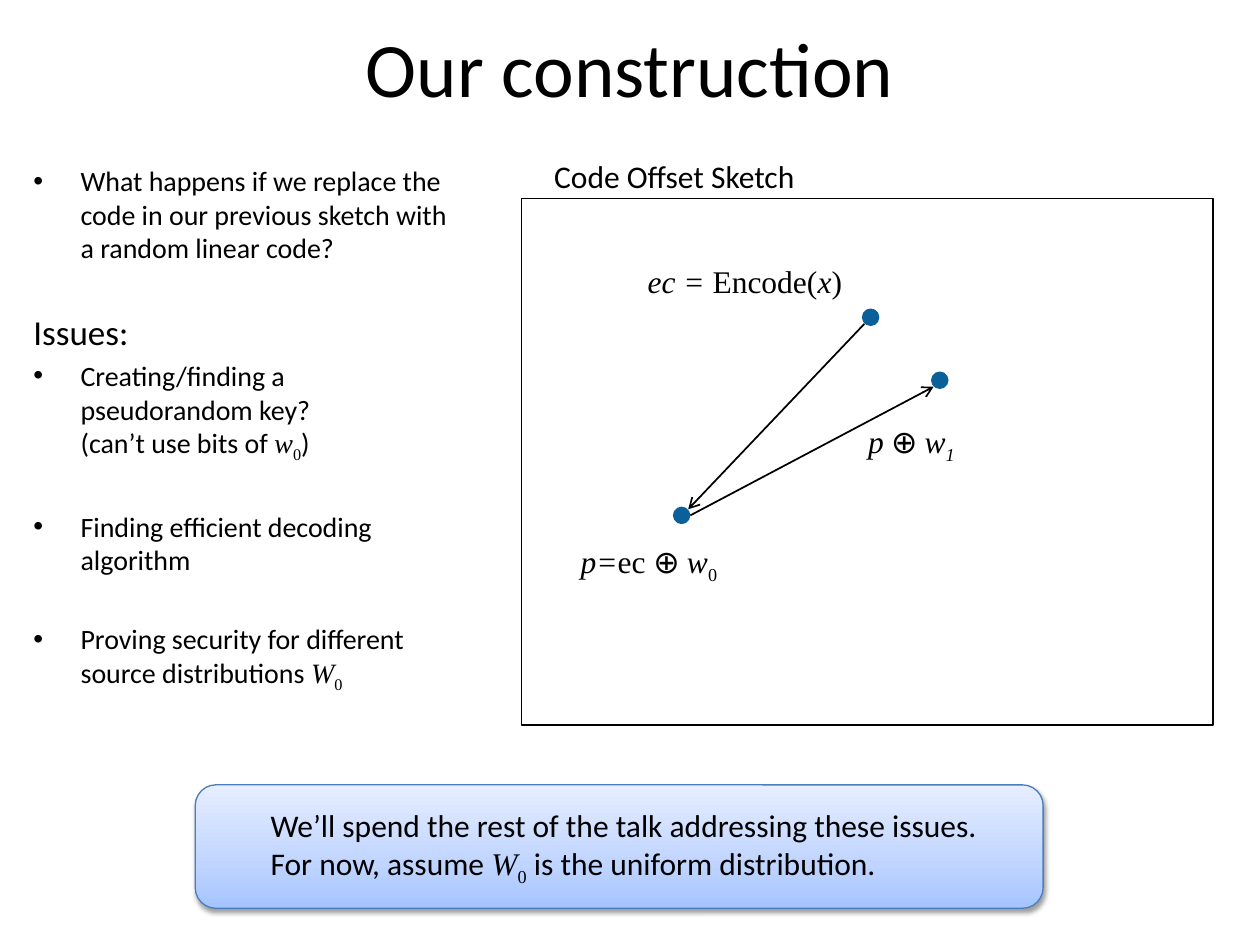
from copy import deepcopy

from lxml import etree
from pptx import Presentation
from pptx.dml import color
from pptx.enum import shapes, text
from pptx.oxml import ns
from pptx.util import Pt

SANS, SERIF = "Calibri", "Times New Roman"
BLACK, DOT_BLUE = "000000", "0B609A"
DOT_SIZE = 10


def rgb(value):
    """Turn a hex string into a colour."""
    return color.RGBColor.from_string(value)


def child(parent, tag, **attributes):
    """Append a DrawingML element and return it."""
    values = {key: str(value) for key, value in attributes.items()}
    return etree.SubElement(parent, ns.qn(f"a:{tag}"), values)


def math(words, **extra):
    """Describe an italic serif run."""
    return words, dict(font=SERIF, italic=True, **extra)


def roman(words, **extra):
    """Describe an upright serif run."""
    return words, dict(font=SERIF, **extra)


def write(paragraph, runs, size=18, align=None, before=0, bullet=False, indent=0):
    """Fill a paragraph with plain strings and (words, format) pairs."""
    properties = paragraph._p.get_or_add_pPr()
    if indent:
        properties.set("marL", str(Pt(indent)))
        properties.set("indent", str(Pt(-indent if bullet else 0)))
    if bullet:
        child(properties, "buFont", typeface="Arial")
        child(properties, "buChar", char="•")
    paragraph.space_before = Pt(before)
    paragraph.alignment = align
    paragraph.font.size = Pt(size)
    for item in runs:
        words, style = (item, {}) if isinstance(item, str) else item
        for number, line in enumerate(words.split("\n")):
            if number:
                paragraph.add_line_break()
            run = paragraph.add_run()
            run.text = line
            run.font.size = Pt(size)
            run.font.name = style.get("font", SANS)
            run.font.italic = style.get("italic", False)
            run.font.color.rgb = rgb(BLACK)
            if style.get("sub"):
                run.font._element.set("baseline", "-25000")


def add_text(slide, left, top, width, height, runs, wrap=True,
             anchor=text.MSO_ANCHOR.TOP, **style):
    """Add a text box with one paragraph and return its frame."""
    frame = slide.shapes.add_textbox(Pt(left), Pt(top), Pt(width), Pt(height)).text_frame
    frame.word_wrap = wrap
    frame.vertical_anchor = anchor
    write(frame.paragraphs[0], runs, **style)
    return frame


def add_shape(slide, kind, left, top, width, height, fill=None, line=None, weight=1):
    """Add a flat preset shape."""
    shape = slide.shapes.add_shape(kind, Pt(left), Pt(top), Pt(width), Pt(height))
    shape.shadow.inherit = False
    if fill:
        shape.fill.solid()
        shape.fill.fore_color.rgb = rgb(fill)
    else:
        shape.fill.background()
    if line:
        shape.line.color.rgb = rgb(line)
        shape.line.width = Pt(weight)
    else:
        shape.line.fill.background()
    return shape


def add_arrow(slide, start, end):
    """Draw a thin black arrow between two points."""
    arrow = slide.shapes.add_connector(
        shapes.MSO_CONNECTOR.STRAIGHT, *(Pt(value) for value in start + end))
    arrow.line.color.rgb = rgb(BLACK)
    arrow.line.width = Pt(1)
    child(arrow.line._get_or_add_ln(), "tailEnd", type="arrow")
    child(arrow._element.spPr, "effectLst")


def add_issues(slide):
    """Write the question and the list of issues."""
    bullet = dict(size=16, bullet=True, indent=27)
    question = "What happens if we replace the code in our previous sketch with a random linear code?"
    frame = add_text(slide, 12, 90, 252, 348, [question], **bullet)
    write(frame.add_paragraph(), ["Issues:"], size=20, before=26.5)
    issues = [
        (3.2, ["Creating/finding a pseudorandom key?\n(can’t use bits of ",
               math("w"), roman("0", sub=True), ")"]),
        (26, ["Finding efficient decoding algorithm"]),
        (26, ["Proving security for different source distributions ",
              math("W"), roman("0", sub=True)]),
    ]
    for before, runs in issues:
        write(frame.add_paragraph(), runs, before=before, **bullet)


def add_sketch(slide):
    """Draw the framed code offset sketch."""
    add_shape(slide, shapes.MSO_SHAPE.RECTANGLE, 298, 113.5, 395, 301, line=BLACK)
    add_text(slide, 309.6, 86.4, 155, 29, ["Code Offset Sketch"], wrap=False)
    add_arrow(slide, (494, 185), (393.3, 291))
    add_arrow(slide, (394.5, 294.5), (533.5, 221))
    for x, y in ((389.5, 294.5), (497.5, 181.3), (537, 217.3)):
        add_shape(slide, shapes.MSO_SHAPE.OVAL, x - DOT_SIZE / 2, y - DOT_SIZE / 2,
                  DOT_SIZE, DOT_SIZE, fill=DOT_BLUE)
    add_text(slide, 489, 237.6, 111.6, 29,
             [math("p"), " ⊕ ", math("w"), math("1", sub=True)])
    add_text(slide, 324.7, 306, 164, 29,
             [math("p="), roman("ec "), "⊕ ", math("w"), roman("0", sub=True)])
    add_text(slide, 363, 146.2, 131.8, 29,
             [math("ec = "), roman("Encode("), math("x"), roman(")")], wrap=False)


def add_callout(slide):
    """Add the shaded closing remark."""
    callout = add_shape(slide, shapes.MSO_SHAPE.ROUNDED_RECTANGLE,
                        111.6, 448.5, 484.5, 70.5, line="4B7EBC", weight=0.75)
    callout.fill.gradient()
    callout.fill.gradient_angle = 90
    properties = callout._element.spPr
    stop_list = next(properties.iter(ns.qn("a:gsLst")))
    stop_list.append(deepcopy(stop_list[-1]))
    shades = ((0, "A4C4FF"), (0.35, "BFD4FF"), (1, "E6EEFF"))
    for stop, (position, shade) in zip(callout.fill.gradient_stops, shades):
        stop.position = position
        stop.color.rgb = rgb(shade)
    shadow = child(properties.find(ns.qn("a:effectLst")), "outerShdw", blurRad=Pt(3.1),
                   dist=Pt(1.6), dir=90 * 60000, rotWithShape=0)
    child(child(shadow, "srgbClr", val=BLACK), "alpha", val=38000)

    frame = callout.text_frame
    frame.word_wrap = True
    frame.vertical_anchor = text.MSO_ANCHOR.MIDDLE
    frame.margin_left = frame.margin_right = Pt(3.6)
    write(frame.paragraphs[0],
          ["We’ll spend the rest of the talk addressing these issues.\nFor now, assume ",
           math("W"), roman("0", sub=True), " is the uniform distribution."],
          align=text.PP_ALIGN.LEFT, indent=36)


def main():
    """Build the slide and save it."""
    deck = Presentation()
    deck.slide_width, deck.slide_height = Pt(720), Pt(540)
    slide = deck.slides.add_slide(deck.slide_layouts[6])
    add_text(slide, 36, -7, 648, 90, ["Our construction"], size=44,
             align=text.PP_ALIGN.CENTER, anchor=text.MSO_ANCHOR.MIDDLE)
    add_sketch(slide)
    add_issues(slide)
    add_callout(slide)
    deck.save("out.pptx")


if __name__ == "__main__":
    main()
